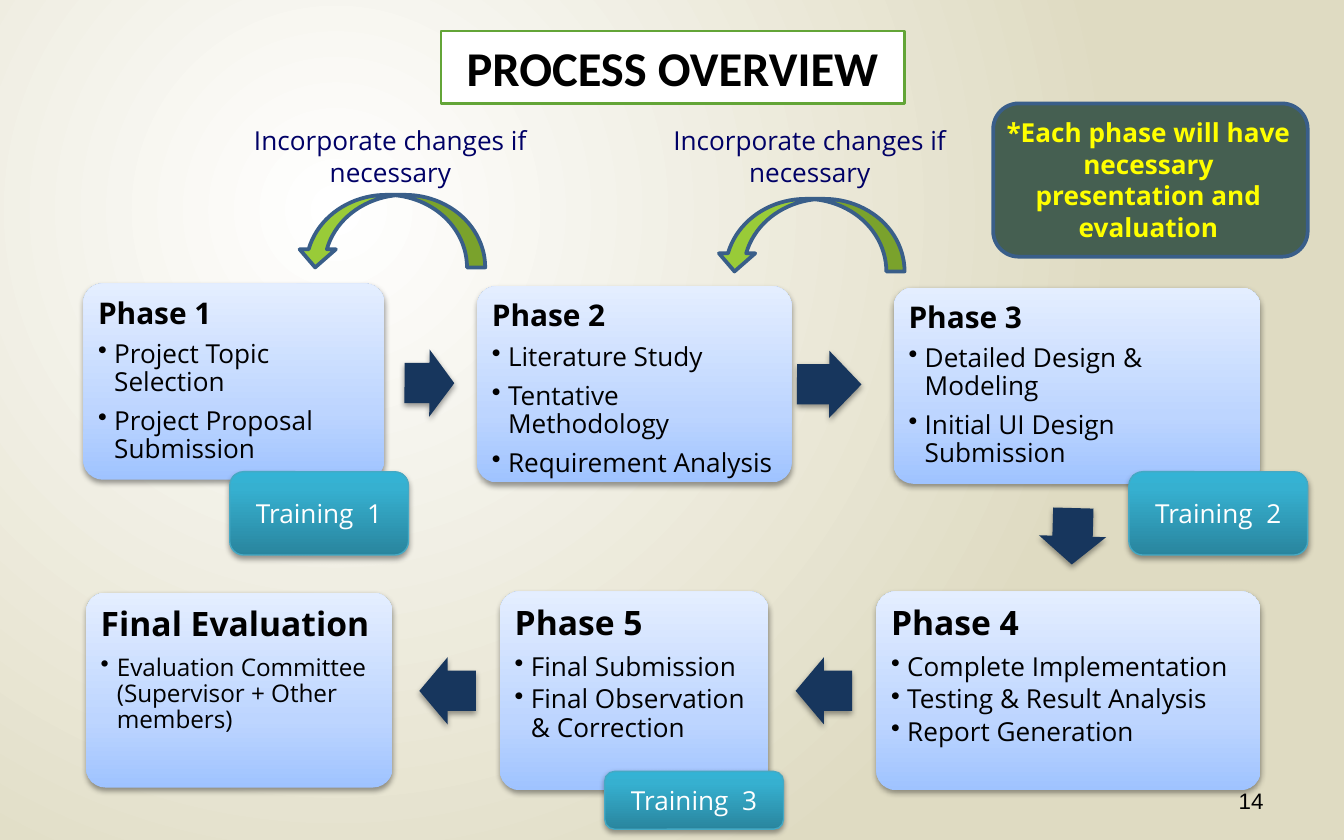
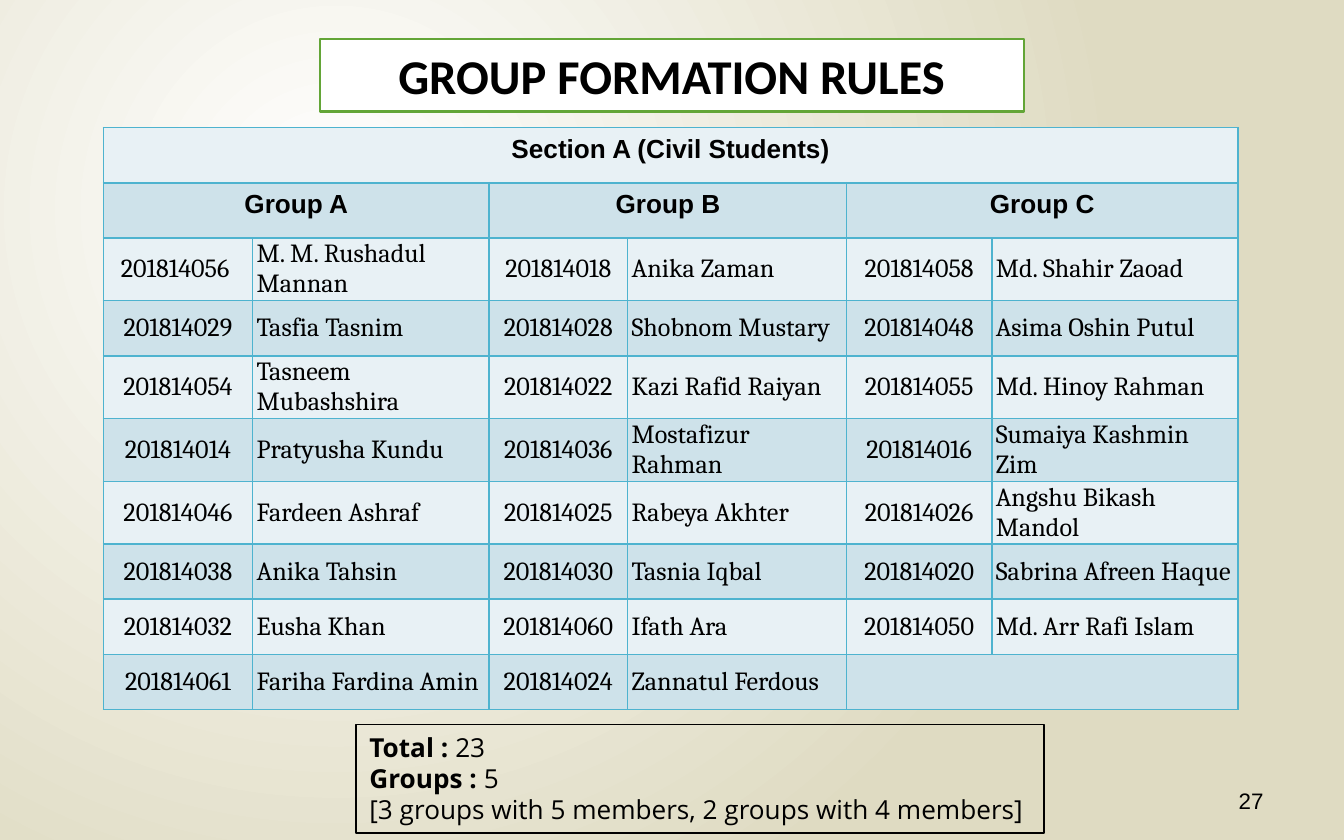
from lxml import etree
from pptx import Presentation
from pptx.dml.color import RGBColor
from pptx.enum.shapes import MSO_SHAPE
from pptx.enum.text import MSO_ANCHOR, PP_ALIGN
from pptx.oxml.ns import qn
from pptx.util import Inches, Pt

RECT, ROUNDED = MSO_SHAPE.RECTANGLE, MSO_SHAPE.ROUNDED_RECTANGLE
ARROW, CURVED_ARROW = MSO_SHAPE.RIGHT_ARROW, MSO_SHAPE.CURVED_RIGHT_ARROW
LEFT, CENTER, RIGHT, JUSTIFY = PP_ALIGN.LEFT, PP_ALIGN.CENTER, PP_ALIGN.RIGHT, PP_ALIGN.JUSTIFY
TOP, MIDDLE = MSO_ANCHOR.TOP, MSO_ANCHOR.MIDDLE


class Theme:
    """Colours, gradients, outlines and type styles of the deck."""
    white, black = "FFFFFF", "000000"
    flow_arrow, loop_arrow, notice = "17365D", "99CB38", "455F51"
    table_bands = ("E8F1F5", "CEE2EA")
    page_gradient = [(0, "FFFFFF"), (100, "DFDBC2")]
    card_gradient = [(0, "9FC3FF"), (35, "BDD5FF"), (100, "E4EEFF")]
    training_gradient = [(0, "29859E"), (80, "36B0D0"), (100, "33B3D5")]
    title_line, loop_line = ("63A537", 1.25), ("395E89", 2)
    training_line, total_line, table_line = ("45A9C4", 0.75), ("000000", 1), ("4EB3CF", 1)
    title = dict(name="Calibri", size=26, bold=True, color=black)
    body = dict(name="Open Sans", size=14, bold=False, color=black)
    strong = dict(body, bold=True)
    loop_note = dict(body, color="000066")
    training = dict(body, color=white)
    notice_text = dict(strong, color="FFFF00")
    number = dict(name="Arial", size=12, bold=False, color=black)
    table_head = dict(name="Arial", size=14, bold=True, color=black)
    table_cell = dict(name="Cambria", size=14, bold=False, color=black)


# Formatting helpers

def set_all(target, formats):
    for key, value in formats.items():
        setattr(target, key, value)


def add_node(parent, tag, **attributes):
    node = etree.SubElement(parent, qn(tag))
    for key, value in attributes.items():
        node.set(key, str(value))
    return node


def paint_gradient(element, fill, stops, radial=False):
    fill.gradient()
    gradient = element.find(".//" + qn("a:gradFill"))
    for child in list(gradient):
        gradient.remove(child)
    stop_list = add_node(gradient, "a:gsLst")
    for position, color in stops:
        stop = add_node(stop_list, "a:gs", pos=position * 1000)
        add_node(stop, "a:srgbClr", val=color)
    if radial:
        center = add_node(gradient, "a:path", path="circle")
        add_node(center, "a:fillToRect", l=50000, t=50000, r=100000, b=100000)
    else:
        add_node(gradient, "a:lin", ang=270 * 60000, scaled=0)


def add_shadow(shape):
    effects = shape.element.spPr.find(qn("a:effectLst"))
    shadow = add_node(effects, "a:outerShdw", blurRad=Pt(3.1), dist=Pt(1.6),
                      dir=90 * 60000, rotWithShape=0)
    color = add_node(shadow, "a:srgbClr", val=Theme.black)
    add_node(color, "a:alpha", val=38000)


def add_bullet(para):
    properties = para._p.get_or_add_pPr()
    properties.set("marL", str(Inches(0.12)))
    properties.set("indent", str(-Inches(0.12)))
    color = add_node(properties, "a:buClr")
    add_node(color, "a:srgbClr", val=Theme.black)
    add_node(properties, "a:buChar", char="•")


def style_fill_and_line(shape, fill=None, line=None):
    if isinstance(fill, list):
        paint_gradient(shape.element, shape.fill, fill)
    elif fill:
        shape.fill.solid()
        shape.fill.fore_color.rgb = RGBColor.from_string(fill)
    else:
        shape.fill.background()
    if line:
        shape.line.color.rgb = RGBColor.from_string(line[0])
        shape.line.width = Pt(line[1])
    else:
        shape.line.fill.background()


def set_frame(frame, anchor=TOP, side=0.1, end=0.05):
    set_all(frame, dict(word_wrap=True, vertical_anchor=anchor,
                        margin_left=Inches(side), margin_right=Inches(side),
                        margin_top=Inches(end), margin_bottom=Inches(end)))


def add_span(para, text, style):
    span = para.add_run()
    span.text = text
    set_all(span.font, dict(name=style["name"], size=Pt(style["size"]), bold=style["bold"]))
    span.font.color.rgb = RGBColor.from_string(style["color"])


def write(frame, lines, alignment=LEFT):
    """Each line is a list of (text, style) spans; returns the paragraphs."""
    paras = []
    for index, spans in enumerate(lines):
        para = frame.add_paragraph() if index else frame.paragraphs[0]
        para.alignment = alignment
        for text, style in spans:
            add_span(para, text, style)
        paras.append(para)
    return paras


# Elements

def add_box(page, kind, place, fill=None, line=None, adjust=(), rotation=0, shadow=False):
    box = page.shapes.add_shape(kind, *map(Inches, place))
    box.rotation = rotation
    for index, value in enumerate(adjust):
        box.adjustments[index] = value
    style_fill_and_line(box, fill, line)
    box.shadow.inherit = False
    if shadow:
        add_shadow(box)
    return box


def add_label(page, place, text, style, alignment=CENTER, anchor=TOP):
    box = page.shapes.add_textbox(*map(Inches, place))
    set_frame(box.text_frame, anchor)
    write(box.text_frame, [[(text, style)]], alignment)


def add_card(page, place, heading, items, heading_size, item_size, gaps):
    add_box(page, ROUNDED, place, Theme.card_gradient, adjust=[0.1], shadow=True)
    left, top, width, height = place
    box = page.shapes.add_textbox(Inches(left + 0.04), Inches(top + 0.04),
                                  Inches(width - 0.08), Inches(height - 0.08))
    set_frame(box.text_frame, side=0.07, end=0.07)
    lines = [[(heading, dict(Theme.strong, size=heading_size))]]
    lines += [[(item, dict(Theme.body, size=item_size))] for item in items]
    paras = write(box.text_frame, lines)
    paras[0].line_spacing = 0.9
    first_gap, next_gap = gaps
    for index, para in enumerate(paras[1:]):
        gap = next_gap if index else first_gap
        set_all(para, dict(level=1, line_spacing=0.9, space_before=Pt(gap)))
        add_bullet(para)


def add_training(page, place, number):
    box = add_box(page, ROUNDED, place, Theme.training_gradient, Theme.training_line,
                  shadow=True)
    set_frame(box.text_frame, MIDDLE)
    write(box.text_frame, [[(f"Training  {number}", Theme.training)]], CENTER)


def add_loop(page, arrow_left, arrow_top, note_left):
    add_box(page, CURVED_ARROW, (arrow_left, arrow_top, 0.54, 1.4), Theme.loop_arrow,
            Theme.loop_line, [0.25, 0.5, 0.25], 90)
    add_label(page, (note_left, 0.88, 2.39, 0.57), "Incorporate changes if necessary",
              Theme.loop_note)


def set_cell(cell, text, style, band, alignment):
    cell.fill.solid()
    cell.fill.fore_color.rgb = RGBColor.from_string(band)
    if text:
        write(cell.text_frame, [[(text, style)]], alignment)
    properties = cell._tc.get_or_add_tcPr()
    color, width = Theme.table_line
    for index, side in enumerate(("a:lnL", "a:lnR", "a:lnT", "a:lnB")):
        border = etree.Element(qn(side), w=str(Pt(width)))
        add_node(add_node(border, "a:solidFill"), "a:srgbClr", val=color)
        properties.insert(index, border)


def add_group_table(page, place, widths, row_height, heading, groups, rows):
    row_count = len(rows) + 2
    table = page.shapes.add_table(row_count, len(widths), *map(Inches, place)).table
    set_all(table, dict(first_row=False, horz_banding=False))
    for column, width in zip(table.columns, widths):
        column.width = Inches(width)
    for row in table.rows:
        row.height = Inches(row_height)
    head_rows = [[heading] + [""] * 5, [text for group in groups for text in (group, "")]]
    for row_index, texts in enumerate(head_rows + rows):
        is_head = row_index < 2
        style = Theme.table_head if is_head else Theme.table_cell
        for column_index, text in enumerate(texts):
            cell = table.cell(row_index, column_index)
            centered = is_head or column_index % 2 == 0
            set_cell(cell, text, style, Theme.table_bands[row_index % 2],
                     CENTER if centered else LEFT)
            if text and not is_head:
                set_all(cell, dict(vertical_anchor=MIDDLE, margin_left=Inches(0.03),
                                   margin_right=Inches(0.03), margin_top=0, margin_bottom=0))
    table.cell(0, 0).merge(table.cell(0, 5))
    for column in (0, 2, 4):
        table.cell(1, column).merge(table.cell(1, column + 1))
    table.cell(row_count - 1, 4).merge(table.cell(row_count - 1, 5))


def add_page(deck, title, place, number):
    page = deck.slides.add_slide(deck.slide_layouts[5])
    box = page.shapes.title
    set_all(box, dict(zip(("left", "top", "width", "height"), map(Inches, place))))
    style_fill_and_line(box, Theme.white, Theme.title_line)
    set_frame(box.text_frame)
    write(box.text_frame, [[(title, Theme.title)]], CENTER)
    add_label(page, (7.17, 5.79, 2.33, 0.33), number, Theme.number, RIGHT, MIDDLE)
    return page


# Slides

def build_process(deck):
    page = add_page(deck, "PROCESS OVERVIEW", (3.28, 0.23, 3.45, 0.54), "14")
    upper = dict(heading_size=16, item_size=14, gaps=(5.6, 5.6))
    lower = dict(heading_size=18, item_size=14, gaps=(6.3, 2.1))
    cards = [
        ((0.62, 2.11, 2.24, 1.46), "Phase 1",
         ["Project Topic Selection", "Project Proposal Submission"], upper),
        ((3.55, 2.13, 2.34, 1.46), "Phase 2",
         ["Literature Study", "Tentative Methodology", "Requirement Analysis"], upper),
        ((6.65, 2.14, 2.73, 1.46), "Phase 3",
         ["Detailed Design & Modeling", "Initial UI Design Submission"], upper),
        ((6.52, 4.4, 2.86, 1.48), "Phase 4",
         ["Complete Implementation", "Testing & Result Analysis", "Report Generation"], lower),
        ((3.72, 4.4, 2, 1.48), "Phase 5",
         ["Final Submission", "Final Observation & Correction"], lower),
        ((0.64, 4.41, 2.28, 1.45), "Final Evaluation",
         ["Evaluation Committee (Supervisor + Other members)"], dict(lower, item_size=13)),
    ]
    for place, heading, items, sizes in cards:
        add_card(page, place, heading, items, **sizes)

    # Arrows from phase to phase: left, top, width, rotation
    for left, top, width, rotation in [(3.01, 2.6, 0.37, 0.3), (5.93, 2.61, 0.48, 0.2),
                                       (7.77, 3.74, 0.42, 91.6), (5.92, 4.89, 0.42, 180),
                                       (3.12, 4.89, 0.42, 180)]:
        add_box(page, ARROW, (left, top, width, 0.5), Theme.flow_arrow,
                adjust=[0.6, 0.5], rotation=rotation, shadow=True)

    add_loop(page, 2.64, 1.02, 1.71)
    add_loop(page, 5.76, 1.05, 4.83)

    trainings = [(1.71, 3.51, 0.62), (8.4, 3.51, 0.62), (4.5, 5.74, 0.43)]
    for number, (left, top, height) in enumerate(trainings, 1):
        add_training(page, (left, top, 1.33, height), number)

    add_box(page, ROUNDED, (7.39, 0.77, 2.34, 1.14), Theme.notice, Theme.loop_line)
    add_label(page, (7.35, 0.82, 2.39, 0.81),
              "*Each phase will have necessary presentation and evaluation", Theme.notice_text)


def build_groups(deck):
    page = add_page(deck, "GROUP FORMATION RULES", (2.38, 0.29, 5.24, 0.54), "27")
    rows = [
        ["201814056 ", "M. M. Rushadul Mannan", "201814018", "Anika Zaman",
         "201814058", "Md. Shahir Zaoad"],
        ["201814029", "Tasfia Tasnim", "201814028", "Shobnom Mustary",
         "201814048", "Asima Oshin Putul"],
        ["201814054", "Tasneem Mubashshira", "201814022", "Kazi Rafid Raiyan",
         "201814055", "Md. Hinoy Rahman"],
        ["201814014", "Pratyusha Kundu", "201814036", "Mostafizur Rahman",
         "201814016", "Sumaiya Kashmin Zim"],
        ["201814046", "Fardeen Ashraf", "201814025", "Rabeya Akhter",
         "201814026", "Angshu Bikash Mandol"],
        ["201814038", "Anika Tahsin", "201814030", "Tasnia Iqbal",
         "201814020", "Sabrina Afreen Haque"],
        ["201814032", "Eusha Khan", "201814060", "Ifath Ara",
         "201814050", "Md. Arr Rafi Islam"],
        ["201814061", "Fariha Fardina Amin", "201814024", "Zannatul Ferdous", "", ""],
    ]
    add_group_table(page, (0.77, 0.95, 8.45, 4.1), (1.11, 1.76, 1.03, 1.63, 1.08, 1.83), 0.41,
                    "Section A (Civil Students)", ["Group A", "Group B", "Group C"], rows)

    total = add_box(page, RECT, (2.65, 5.39, 5.12, 0.81), line=Theme.total_line)
    set_frame(total.text_frame)
    write(total.text_frame, [
        [("Total : ", Theme.strong), ("23", Theme.body)],
        [("Groups : ", Theme.strong), ("5", Theme.body)],
        [("[3 groups with 5 members, 2 groups with 4 members]", Theme.body)],
    ], JUSTIFY)


def main():
    deck = Presentation()
    set_all(deck, dict(slide_width=Inches(10), slide_height=Inches(6.25)))
    master = deck.slide_master
    paint_gradient(master.element, master.background.fill, Theme.page_gradient, radial=True)
    build_process(deck)
    build_groups(deck)
    deck.save("out.pptx")


if __name__ == "__main__":
    main()
